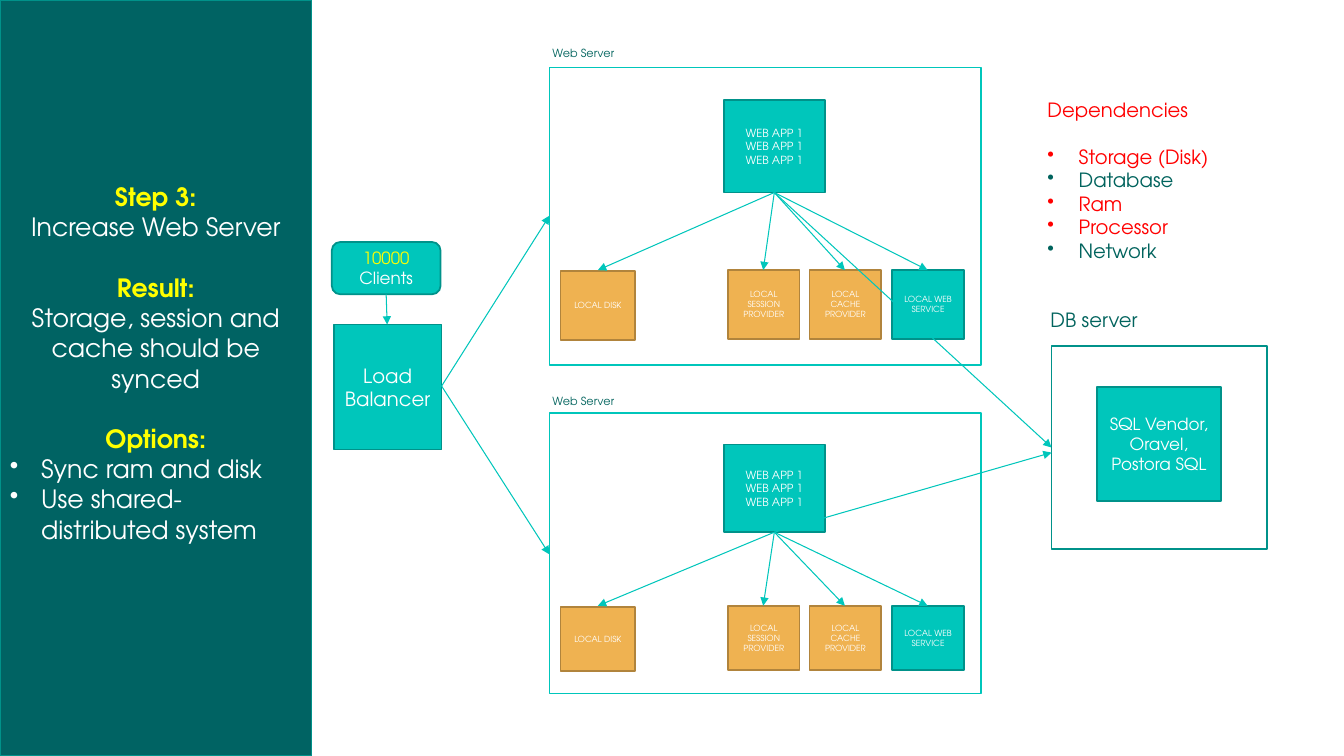
from dataclasses import dataclass
from typing import Any, NamedTuple

from lxml import etree
from pptx import Presentation
from pptx import util as u
from pptx.dml.color import RGBColor
from pptx.enum import shapes, text
from pptx.oxml.ns import qn

PX = 9144
FONT = "TeX Gyre Adventor"
WHITE, YELLOW, RED = "FFFFFF", "FFFF00", "FF0000"
TEAL, TEAL_EDGE, TEAL_TEXT, PANEL = "00C6BB", "00928A", "00635D", "006363"
ORANGE, ORANGE_EDGE = "EFB251", "B1843C"
LEFT, CENTER = text.PP_ALIGN.LEFT, text.PP_ALIGN.CENTER
RECT, ROUNDED = shapes.MSO_SHAPE.RECTANGLE, shapes.MSO_SHAPE.ROUNDED_RECTANGLE
APP_LEFT, APP_WIDTH = 718, 100
FRAME_LEFT, FRAME_WIDTH = 545, 428
DB_LEFT = 1043


class Span(NamedTuple):
    words: str
    color: str = WHITE
    bold: bool = False


@dataclass(frozen=True)
class Para:
    spans: tuple[Span, ...]
    align: Any = CENTER
    bullet: bool = False
    gap: float = 0


class Area(NamedTuple):
    left: int
    top: int
    width: int
    height: int


class Look(NamedTuple):
    fill: str
    edge: str


class Point(NamedTuple):
    x: int
    y: int


@dataclass(frozen=True)
class Resource:
    label: str
    left: int
    width: int
    look: Look
    drop: int = 0


@dataclass(frozen=True)
class Server:
    label_top: int
    top: int
    height: int
    app_top: int
    app_height: int
    tier_top: int
    tier_height: int
    db_entry: int


SOLID = Look(TEAL, TEAL_EDGE)
LOCAL = Look(ORANGE, ORANGE_EDGE)
RESOURCES = (
    Resource("LOCAL DISK", 556, 74, LOCAL, 1),
    Resource("LOCAL SESSION PROVIDER", 722, 71, LOCAL),
    Resource("LOCAL CACHE PROVIDER", 803, 71, LOCAL),
    Resource("LOCAL WEB SERVICE", 885, 71, SOLID),
)
FIRST_SERVER = Server(41, 67, 295, 99, 92, 268, 68, 444)
SECOND_SERVER = Server(386, 410, 278, 441, 87, 601, 64, 449)


def rgb(value: str) -> RGBColor:
    return RGBColor.from_string(value)


def apply(target: Any, values: dict[str, Any]) -> None:
    for name, value in values.items():
        setattr(target, name, value)


def line(words: str, color: str = WHITE, **options: Any) -> Para:
    bold = options.pop("bold", False)
    return Para((Span(words, color, bold),), **options)


def write(box: Any, paras: list[Para], size: int, anchor: Any, bottom: int = 5) -> None:
    frame = box.text_frame
    apply(frame, {"word_wrap": True, "vertical_anchor": anchor,
                  "margin_left": 10 * PX, "margin_right": 10 * PX,
                  "margin_top": 5 * PX, "margin_bottom": bottom * PX})
    for index, para in enumerate(paras):
        target = frame.add_paragraph() if index else frame.paragraphs[0]
        apply(target, {"alignment": para.align, "space_before": u.Pt(para.gap)})
        if para.bullet:
            properties = target._p.get_or_add_pPr()
            properties.set("marL", str(31 * PX))
            properties.set("indent", str(-31 * PX))
            etree.SubElement(properties, qn("a:buChar")).set("char", "•")
        for span in para.spans:
            run = target.add_run()
            run.text = span.words
            apply(run.font, {"name": FONT, "size": u.Pt(size), "bold": span.bold})
            run.font.color.rgb = rgb(span.color)


def add_box(page: Any, area: Area, look: Look, kind: Any = RECT) -> Any:
    box = page.shapes.add_shape(kind, *(value * PX for value in area))
    box.shadow.inherit = False
    box.fill.solid()
    box.fill.fore_color.rgb = rgb(look.fill)
    box.line.color.rgb = rgb(look.edge)
    box.line.width = u.Pt(1.25)
    return box


def add_block(page: Any, area: Area, look: Look, paras: list[Para], size: int,
              kind: Any = RECT, bottom: int = 5) -> None:
    write(add_box(page, area, look, kind), paras, size, text.MSO_ANCHOR.MIDDLE, bottom)


def add_label(page: Any, area: Area, paras: list[Para], size: int) -> None:
    box = page.shapes.add_textbox(*(value * PX for value in area))
    write(box, paras, size, text.MSO_ANCHOR.TOP)


def add_arrow(page: Any, start: Point, end: Point) -> None:
    ends = (value * PX for value in (*start, *end))
    arrow = page.shapes.add_connector(shapes.MSO_CONNECTOR.STRAIGHT, *ends)
    arrow.line.color.rgb = rgb(TEAL)
    arrow.line.width = u.Pt(0.75)
    etree.SubElement(arrow.line._get_or_add_ln(), qn("a:tailEnd")).set("type", "triangle")
    etree.SubElement(arrow._element.spPr, qn("a:effectLst"))


def add_server(page: Any, server: Server) -> None:
    add_box(page, Area(FRAME_LEFT, server.top, FRAME_WIDTH, server.height), Look(WHITE, TEAL))
    add_label(page, Area(538, server.label_top, 92, 27),
              [line("Web Server", TEAL_TEXT, align=LEFT)], 8)
    add_block(page, Area(APP_LEFT, server.app_top, APP_WIDTH, server.app_height),
              SOLID, [line("WEB APP 1")] * 3, 8)
    for item in RESOURCES:
        area = Area(item.left, server.tier_top + item.drop, item.width, server.tier_height)
        add_block(page, area, item.look, [line(item.label)], 6)
    hub = Point(APP_LEFT + APP_WIDTH // 2, server.app_top + server.app_height)
    for item in RESOURCES:
        add_arrow(page, hub, Point(item.left + item.width // 2, server.tier_top))
    add_arrow(page, hub, Point(DB_LEFT, server.db_entry))


def add_database(page: Any) -> None:
    add_box(page, Area(DB_LEFT, 343, 214, 202), Look(WHITE, TEAL_EDGE))
    add_label(page, Area(1032, 301, 120, 34), [line("DB server", TEAL_TEXT, align=LEFT)], 14)
    add_block(page, Area(1088, 384, 123, 113), SOLID,
              [line("SQL Vendor, Oravel, Postora SQL")], 12)


def main() -> None:
    deck = Presentation()
    apply(deck, {"slide_width": 1333 * PX, "slide_height": 750 * PX})
    page = deck.slides.add_slide(deck.slide_layouts[6])

    add_block(page, Area(0, 0, 309, 750), Look(PANEL, TEAL_EDGE), [
        line("Step 3:", YELLOW, bold=True),
        line("Increase Web Server"),
        line("Result:", YELLOW, bold=True, gap=21.6),
        line("Storage, session and cache should be synced"),
        line("Options:", YELLOW, bold=True, gap=21.6),
        line("Sync ram and disk", align=LEFT, bullet=True),
        line("Use shared-distributed system", align=LEFT, bullet=True),
    ], 18, bottom=35)

    add_server(page, FIRST_SERVER)
    add_database(page)
    add_server(page, SECOND_SERVER)

    add_block(page, Area(331, 322, 107, 124), SOLID, [line("Load Balancer")], 14)
    for entry in (214, 550):
        add_arrow(page, Point(438, 383), Point(FRAME_LEFT, entry))

    dependencies = {"Storage (Disk)": RED, "Database": TEAL_TEXT, "Ram": RED,
                    "Processor": RED, "Network": TEAL_TEXT}
    add_label(page, Area(1029, 92, 182, 199), [
        line("Dependencies", RED, align=LEFT),
        *(line(name, color, align=LEFT, bullet=True, gap=0 if index else 16.8)
          for index, (name, color) in enumerate(dependencies.items())),
    ], 14)

    add_block(page, Area(329, 240, 108, 52), SOLID,
              [Para((Span("10000", YELLOW), Span(" Clients")))], 12, ROUNDED)
    add_arrow(page, Point(383, 292), Point(384, 322))
    deck.save("out.pptx")


if __name__ == "__main__":
    main()
